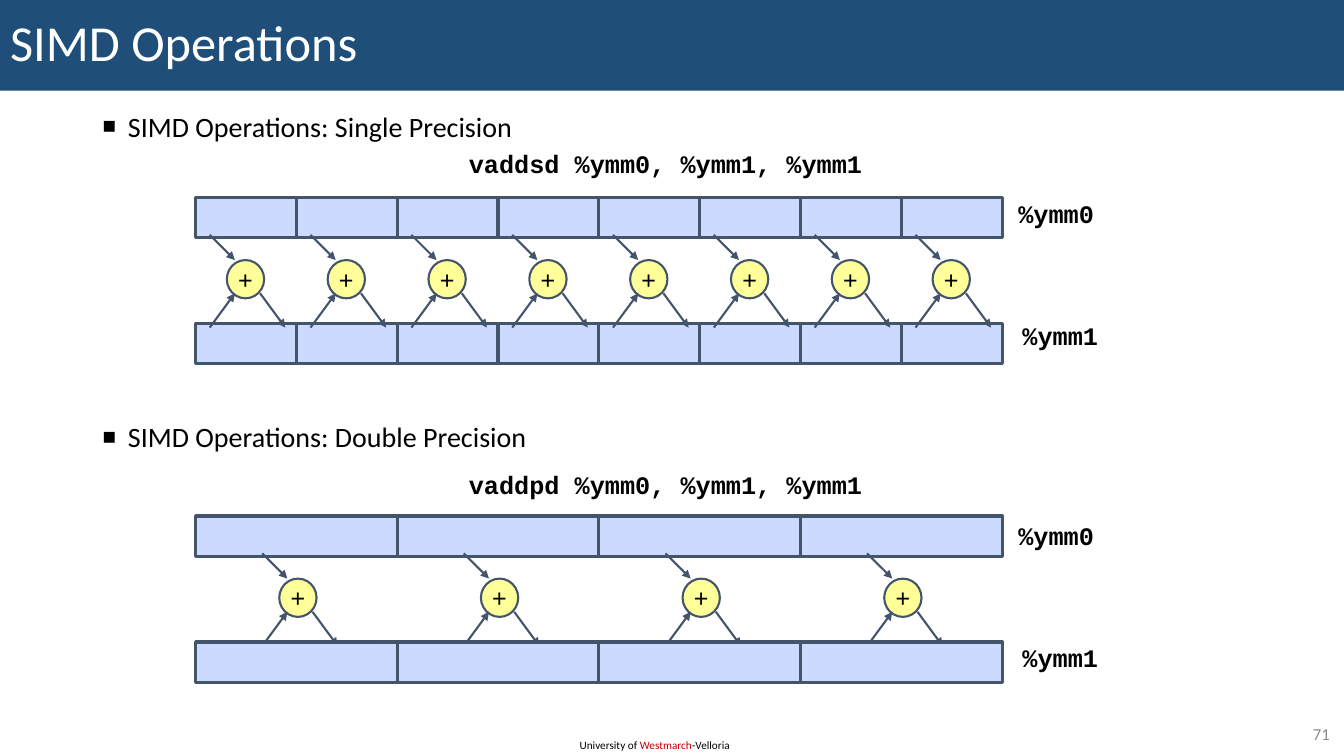
from dataclasses import dataclass

from lxml.etree import SubElement
from pptx import Presentation
from pptx.dml.color import RGBColor
from pptx.enum.shapes import MSO_CONNECTOR, MSO_SHAPE
from pptx.enum.text import MSO_ANCHOR, PP_ALIGN
from pptx.oxml.ns import qn
from pptx.shapes.autoshape import Shape
from pptx.shapes.shapetree import GroupShapes
from pptx.slide import Slide
from pptx.text.text import TextFrame
from pptx.util import Inches, Pt

NAVY = RGBColor(0x1F, 0x4E, 0x79)
SLATE = RGBColor(0x44, 0x54, 0x6A)
LANE_BLUE = RGBColor(0xCB, 0xDB, 0xFF)
ADDER_YELLOW = RGBColor(0xFF, 0xFF, 0x99)
RED = RGBColor(0xC0, 0x00, 0x00)
GRAY = RGBColor(0x8C, 0x8C, 0x8C)
BLACK = RGBColor(0x00, 0x00, 0x00)
WHITE = RGBColor(0xFF, 0xFF, 0xFF)

SANS = "Calibri"
MONO = "Courier New"

REGISTER_LEFT = 1.94
REGISTER_WIDTH = 8.0
REGISTER_HEIGHT = 0.4
REGISTER_GAP = 1.25  # from the top of %ymm0 to the top of %ymm1


@dataclass(frozen=True)
class Operation:
    instruction: str
    lanes: int
    caption_top: float
    register_top: float
    adder_offset: float
    arrows_in_front: bool


@dataclass(frozen=True)
class Arrow:
    """Ends relative to the left of an adder and the top of %ymm0."""
    start: tuple[float, float]
    end: tuple[float, float]


OPERATIONS = (
    Operation("vaddsd %ymm0, %ymm1, %ymm1", 8, 1.42, 1.96, 0.14, True),
    Operation("vaddpd %ymm0, %ymm1, %ymm1", 4, 4.61, 5.12, 0.66, False),
)
ADDER_ARROWS = (
    Arrow((0, 0.37), (0.25, 0.62)),
    Arrow((0, 1.29), (0.25, 0.95)),
    Arrow((0.5, 0.95), (0.75, 1.29)),
)


def add_run(frame: TextFrame, text: str, *, size: float, font: str = SANS,
            color: RGBColor = BLACK, bold: bool = False) -> None:
    run = frame.paragraphs[-1].add_run()
    run.text = text
    run.font.size = Pt(size)
    run.font.name = font
    run.font.bold = bold
    run.font.color.rgb = color


def set_insets(frame: TextFrame, inset: float) -> None:
    frame.margin_left = frame.margin_right = Inches(inset)
    frame.margin_top = frame.margin_bottom = Inches(inset)


def add_code(group: GroupShapes, text: str, left: float, top: float, width: float) -> None:
    frame = group.add_textbox(Inches(left), Inches(top), Inches(width), Inches(0.4)).text_frame
    frame.word_wrap = False
    set_insets(frame, 0.05)
    add_run(frame, text, size=18, font=MONO, bold=True)


def add_outlined(group: GroupShapes, kind: MSO_SHAPE, left: float, top: float, width: float,
                 height: float, *, fill: RGBColor, line_width: float) -> Shape:
    shape = group.add_shape(kind, Inches(left), Inches(top), Inches(width), Inches(height))
    shape.shadow.inherit = False
    shape.fill.solid()
    shape.fill.fore_color.rgb = fill
    shape.line.color.rgb = SLATE
    shape.line.width = Pt(line_width)
    return shape


def add_register(group: GroupShapes, lanes: int, top: float) -> None:
    lane_width = REGISTER_WIDTH / lanes
    for lane in range(lanes):
        add_outlined(group, MSO_SHAPE.RECTANGLE, REGISTER_LEFT + lane * lane_width, top,
                     lane_width, REGISTER_HEIGHT, fill=LANE_BLUE, line_width=2.25)


def add_arrow(group: GroupShapes, arrow: Arrow, left: float, top: float) -> None:
    (start_x, start_y), (end_x, end_y) = arrow.start, arrow.end
    connector = group.add_connector(
        MSO_CONNECTOR.STRAIGHT, Inches(left + start_x), Inches(top + start_y),
        Inches(left + end_x), Inches(top + end_y))
    connector.line.color.rgb = SLATE
    connector.line.width = Pt(1.5)
    SubElement(connector.line._get_or_add_ln(), qn("a:tailEnd"), type="triangle")
    SubElement(connector._element.spPr, qn("a:effectLst"))


def add_adder(group: GroupShapes, left: float, top: float) -> None:
    """Draw a plus circle with its two inputs and its output."""
    circle = add_outlined(group, MSO_SHAPE.OVAL, left + 0.17, top + 0.62, 0.37, 0.38,
                          fill=ADDER_YELLOW, line_width=1.5)
    frame = circle.text_frame
    frame.word_wrap = False
    frame.vertical_anchor = MSO_ANCHOR.MIDDLE
    set_insets(frame, 0.05)
    frame.paragraphs[0].alignment = PP_ALIGN.CENTER
    add_run(frame, "+", size=18, font=MONO)
    for arrow in ADDER_ARROWS:
        add_arrow(group, arrow, left, top)


def add_operation(slide: Slide, operation: Operation) -> None:
    group = slide.shapes.add_group_shape().shapes
    top = operation.register_top
    add_code(group, operation.instruction, 4.6, operation.caption_top, 4.02)
    add_code(group, "%ymm0", 10.05, operation.caption_top + 0.5, 0.85)
    add_code(group, "%ymm1", 10.09, operation.caption_top + 1.71, 0.85)
    add_register(group, operation.lanes, top)
    if operation.arrows_in_front:
        add_register(group, operation.lanes, top + REGISTER_GAP)
    for lane in range(operation.lanes):
        lane_left = REGISTER_LEFT + lane * REGISTER_WIDTH / operation.lanes
        add_adder(group, lane_left + operation.adder_offset, top)
    if not operation.arrows_in_front:
        add_register(group, operation.lanes, top + REGISTER_GAP)


def add_title(slide: Slide) -> None:
    title = slide.shapes.title
    title.left, title.top, title.width, title.height = 0, 0, Inches(13.33), Inches(0.9)
    title.fill.solid()
    title.fill.fore_color.rgb = NAVY
    frame = title.text_frame
    frame.vertical_anchor = MSO_ANCHOR.MIDDLE
    frame.paragraphs[0].alignment = PP_ALIGN.LEFT
    frame.paragraphs[0].line_spacing = 0.9
    add_run(frame, "SIMD Operations", size=36, color=WHITE)


def add_headings(slide: Slide) -> None:
    frame = slide.shapes.add_textbox(Inches(0.42), Inches(1.07), Inches(9.09),
                                     Inches(5.88)).text_frame
    frame.word_wrap = True
    headings = (("SIMD Operations: Single Precision", 5),
                ("SIMD Operations: Double Precision", 200))
    for index, (heading, space_before) in enumerate(headings):
        paragraph = frame.add_paragraph() if index else frame.paragraphs[0]
        paragraph.line_spacing = 0.9
        paragraph.space_before = Pt(space_before)
        properties = paragraph._p.get_or_add_pPr()
        properties.set("marL", str(Inches(0.75)))
        properties.set("indent", str(Inches(-0.25)))
        SubElement(properties, qn("a:buSzPct"), val="80000")
        SubElement(properties, qn("a:buFont"), typeface="Arial")
        SubElement(properties, qn("a:buChar"), char="■")
        add_run(frame, heading, size=20)


def add_footer(slide: Slide) -> None:
    university = slide.shapes.add_textbox(Inches(5.65), Inches(7.28), Inches(1.72),
                                          Inches(0.24)).text_frame
    university.word_wrap = True
    for text, color in (("University of ", BLACK), ("Westmarch", RED), ("-Velloria", BLACK)):
        add_run(university, text, size=8, color=color)

    page = slide.shapes.add_textbox(Inches(12.53), Inches(7.13), Inches(0.76),
                                    Inches(0.29)).text_frame
    page.word_wrap = True
    page.vertical_anchor = MSO_ANCHOR.MIDDLE
    page.paragraphs[0].alignment = PP_ALIGN.RIGHT
    add_run(page, "71", size=12, color=GRAY)


def main() -> None:
    presentation = Presentation()
    presentation.slide_width = Inches(13.33)
    presentation.slide_height = Inches(7.5)
    slide = presentation.slides.add_slide(presentation.slide_layouts.get_by_name("Title Only"))
    add_title(slide)
    add_headings(slide)
    for operation in OPERATIONS:
        add_operation(slide, operation)
    add_footer(slide)
    presentation.save("out.pptx")


if __name__ == "__main__":
    main()
